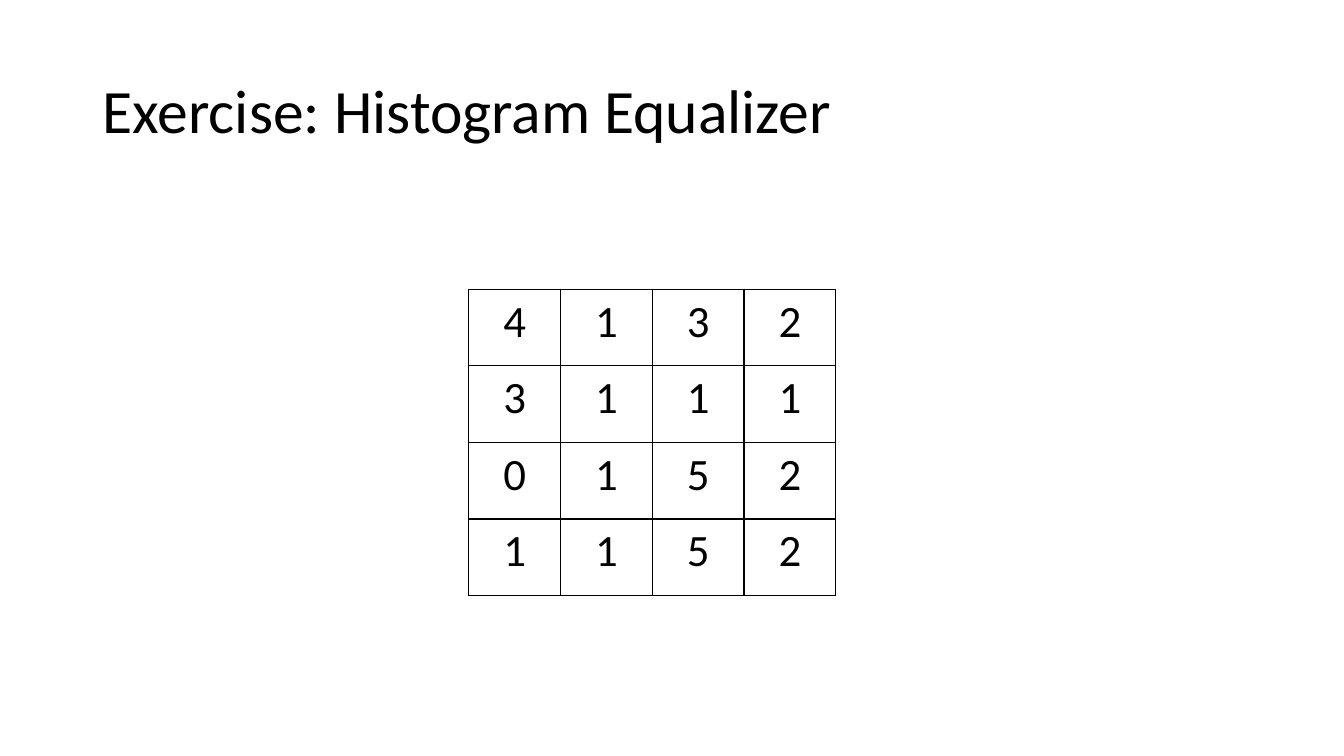
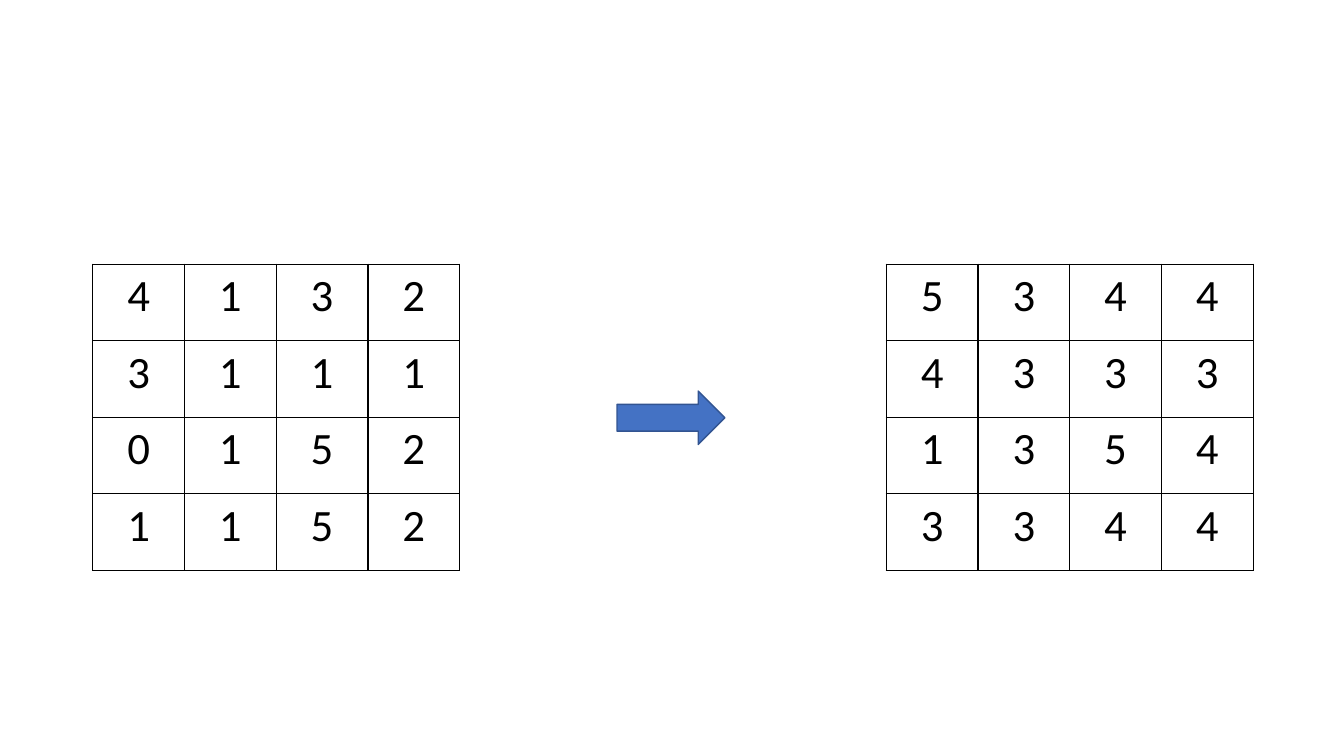
from lxml import etree
from pptx import Presentation
from pptx.dml.color import RGBColor
from pptx.enum import shapes, text
from pptx.oxml import ns
from pptx.util import Inches, Pt

# Shared style
COLORS = {"paper": "FFFFFF", "ink": "000000", "arrow": "4472C4", "arrow_edge": "325491"}
FONT = "Calibri"
TITLE_SIZE, NUMBER_SIZE = 44, 32
CELL_WIDTH, CELL_HEIGHT = 0.91, 0.76

# Grey levels before and after equalization
INPUT_LEVELS = ["4132", "3111", "0152", "1152"]
EQUALIZED_LEVELS = ["5344", "4333", "1354", "3344"]


def color(name):
    return RGBColor.from_string(COLORS[name])


def add_page(deck):
    page = deck.slides.add_slide(deck.slide_layouts[6])
    page.background.fill.solid()
    page.background.fill.fore_color.rgb = color("paper")
    return page


def add_span(para, words, size):
    span = para.add_run()
    span.text = words
    span.font.name = FONT
    span.font.size = Pt(size)
    span.font.color.rgb = color("ink")


def add_title(page, words):
    box = page.shapes.add_textbox(Inches(0.92), Inches(0.4), Inches(11.5), Inches(1.45))
    frame = box.text_frame
    frame.word_wrap = True
    frame.vertical_anchor = text.MSO_ANCHOR.MIDDLE
    para = frame.paragraphs[0]
    para.line_spacing = 0.9
    add_span(para, words, TITLE_SIZE)


def set_borders(cell):
    properties = cell._tc.get_or_add_tcPr()
    for side in ("a:lnL", "a:lnR", "a:lnT", "a:lnB"):
        line = etree.SubElement(properties, ns.qn(side), w=str(Pt(1)))
        fill = etree.SubElement(line, ns.qn("a:solidFill"))
        etree.SubElement(fill, ns.qn("a:srgbClr"), val=COLORS["ink"])


def add_matrix(page, left, top, levels):
    rows, columns = len(levels), len(levels[0])
    table = page.shapes.add_table(
        rows, columns, Inches(left), Inches(top),
        Inches(columns * CELL_WIDTH), Inches(rows * CELL_HEIGHT)).table
    table.first_row = table.horz_banding = False
    for column in table.columns:
        column.width = Inches(CELL_WIDTH)
    for row, digits in zip(table.rows, levels):
        row.height = Inches(CELL_HEIGHT)
        for cell, digit in zip(row.cells, digits):
            set_borders(cell)
            cell.fill.background()
            para = cell.text_frame.paragraphs[0]
            para.alignment = text.PP_ALIGN.CENTER
            add_span(para, digit, NUMBER_SIZE)


def add_arrow(page, left, top, width, height):
    arrow = page.shapes.add_shape(
        shapes.MSO_SHAPE.RIGHT_ARROW,
        Inches(left), Inches(top), Inches(width), Inches(height))
    arrow.shadow.inherit = False
    arrow.fill.solid()
    arrow.fill.fore_color.rgb = color("arrow")
    arrow.line.color.rgb = color("arrow_edge")
    arrow.line.width = Pt(1)


def main():
    deck = Presentation()
    deck.slide_width, deck.slide_height = Inches(13.33), Inches(7.5)

    # Exercise
    page = add_page(deck)
    add_title(page, "Exercise: Histogram Equalizer")
    add_matrix(page, 4.65, 2.87, INPUT_LEVELS)

    # Solution
    page = add_page(deck)
    add_matrix(page, 0.92, 2.62, INPUT_LEVELS)
    add_matrix(page, 8.79, 2.62, EQUALIZED_LEVELS)
    add_arrow(page, 6.12, 3.88, 1.07, 0.53)

    deck.save("out.pptx")


if __name__ == "__main__":
    main()
